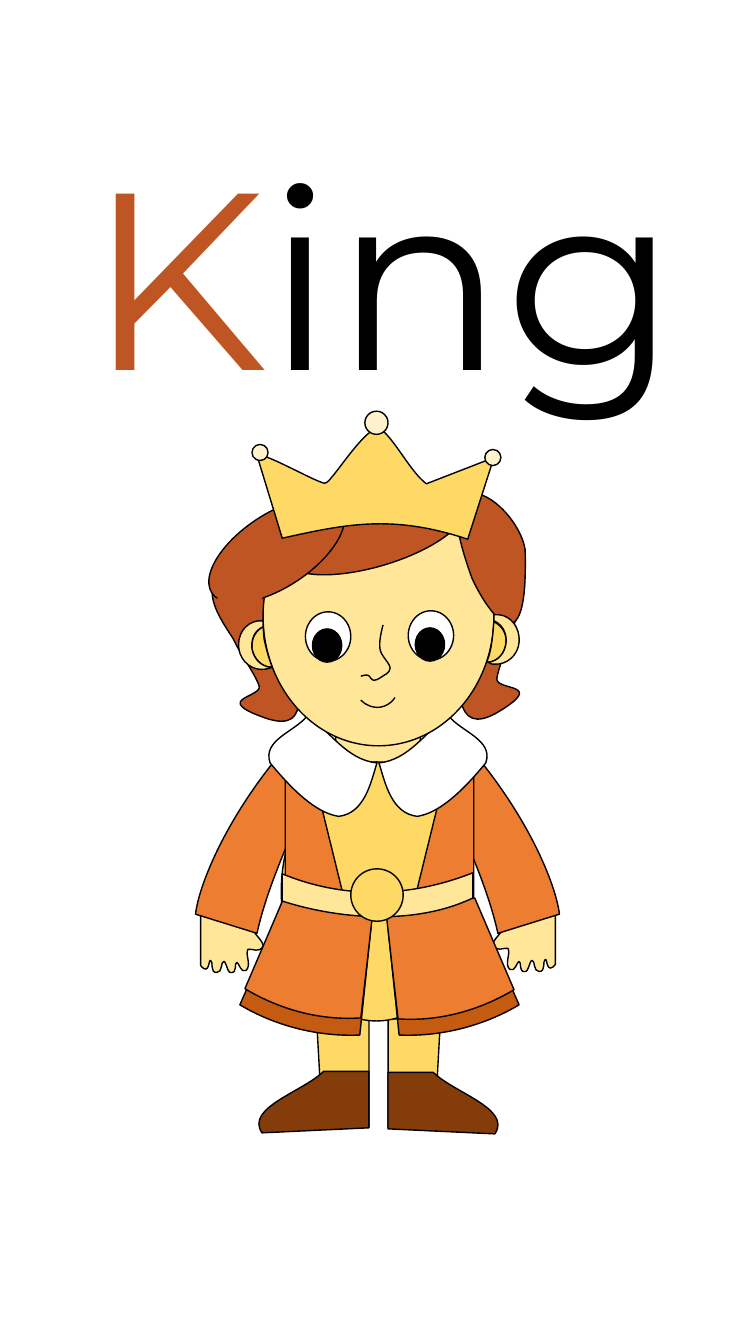
import pptx
import pptx.dml.color
import pptx.enum.shapes
import pptx.oxml
import pptx.oxml.ns
import pptx.util

ELLIPSE = pptx.enum.shapes.MSO_SHAPE.OVAL
ROUNDED = pptx.enum.shapes.MSO_SHAPE.ROUNDED_RECTANGLE
ARC = pptx.enum.shapes.MSO_SHAPE.ARC
HAIR, SKIN, GOLD, COAT, PEARL = "BF5522", "FFE699", "FFD966", "ED7D31", "FFF2CC"
HEM, SHOE, WHITE, BLACK = "C55A11", "843C0B", "FFFFFF", "000000"


def color(value):
    """Return the colour for a hex string."""
    return pptx.dml.color.RGBColor.from_string(value)


def unit(value):
    """Return the length of hundredths of an inch."""
    return pptx.util.Cm(value * 2.54 / 100)


def paint(shape, fill, outlined=True):
    """Set fill and outline of a shape and remove its shadow."""
    shape.shadow.inherit = False
    if fill:
        shape.fill.solid()
        shape.fill.fore_color.rgb = color(fill)
    else:
        shape.fill.background()
    if outlined:
        shape.line.color.rgb = color(BLACK)
        shape.line.width = pptx.util.Pt(1)
    else:
        shape.line.fill.background()


def draw_preset(slide, box, kind, place, fill, rotation=0, outlined=True):
    """Add a preset shape at a place inside the box."""
    left, top, width, height = place
    shape = slide.shapes.add_shape(kind, box[0] + unit(left), box[1] + unit(top),
                                   unit(width), unit(height))
    shape.rotation = rotation
    paint(shape, fill, outlined)
    return shape


def read_outline(text):
    """Turn comma-separated segments into lists of points; three points make a curve."""
    segments = []
    for part in text.split(","):
        numbers = [int(number) for number in part.split()]
        segments.append(list(zip(numbers[::2], numbers[1::2])))
    return segments


def draw_outline(slide, box, segments, fill, closed=True):
    """Add a freeform of lines and Bezier curves inside the box."""
    start = segments[0][0]
    builder = slide.shapes.build_freeform(*start, scale=float(unit(1)))
    builder.add_line_segments([point for segment in segments[1:] for point in segment], closed)
    shape = builder.convert_to_shape(*box)
    lines = iter(shape.element.findall(".//" + pptx.oxml.ns.qn("a:lnTo")))
    for segment in segments[1:]:
        steps = [next(lines) for point in segment]
        if len(steps) == 3:
            curve = pptx.oxml.parse_xml(
                "<a:cubicBezTo %s/>" % pptx.oxml.ns.nsdecls("a"))
            steps[0].addprevious(curve)
            for step in steps:
                curve.append(step[0])
                step.getparent().remove(step)
    paint(shape, fill)


def draw_pair(slide, box, text, fill, span=750, drop=0):
    """Add an outline and its mirror image; span is the sum of mirrored x values."""
    left_side = read_outline(text)
    right_side = [[(span - x, y + drop) for x, y in segment] for segment in left_side]
    for segments in (left_side, right_side):
        draw_outline(slide, box, segments, fill)


def draw_word(slide, box):
    """Write the word with its first letter coloured."""
    frame = slide.shapes.add_textbox(*box).text_frame
    frame.word_wrap = True
    paragraph = frame.paragraphs[0]
    for letters, letter_color in (("K", HAIR), ("ing", BLACK)):
        run = paragraph.add_run()
        run.text = letters
        run.font.name = "Montserrat"
        run.font.size = pptx.util.Pt(180)
        run.font.color.rgb = color(letter_color)


def draw_body(slide, box):
    """Draw the king from neck to shoes."""
    hand = ("199 506, 252 523, 251 526 262 534 261 539, 257 546 251 541 246 542, "
            "243 547 250 558 244 563, 239 566 237 555 235 555, 232 555 236 566 229 565, "
            "226 566 224 553 222 554, 219 554 221 565 215 565, 208 565 212 554 209 553, "
            "207 551 208 569 199 558")
    sleeve = "290 334, 318 358, 297 414 267 471 255 526, 194 507, 197 479 225 407 290 334"
    belt = ("280 467, 338 491 403 492 469 466, 469 477 469 480 469 491, "
            "406 521 326 509 280 494, 280 484 280 478 280 467")
    collar = ("374 357, 344 354 328 326 305 310, 293 326 260 334 268 357, "
              "296 391 317 407 336 410, 362 407 368 376 374 357")
    draw_preset(slide, box, ROUNDED, (333, 302, 84, 80), SKIN)
    draw_pair(slide, box, hand, SKIN, drop=-1)
    draw_pair(slide, box, sleeve, COAT, span=749)
    draw_pair(slide, box, "314 610, 366 610, 366 718, 320 718", GOLD, 751, 1)
    draw_pair(slide, box, "321 663, 366 663, 366 719, 260 724, 243 699 301 683 321 663",
              SHOE, 751, 1)
    draw_preset(slide, box, ELLIPSE, (279, 356, 189, 257), GOLD)
    draw_pair(slide, box, "283 370, 315 384, 343 498, 322 501 303 495 283 494, "
              "283 453 283 411 283 370", COAT, 753)
    draw_pair(slide, box, "278 506, 368 521, 357 627, 310 629 268 615 238 597", HEM, 753)
    draw_pair(slide, box, "282 490, 370 504, 358 610, 313 613 273 599 243 581",
              COAT, 753, 1)
    draw_outline(slide, box, read_outline(belt), SKIN)
    draw_preset(slide, box, ELLIPSE, (348, 462, 52, 52), GOLD)
    draw_pair(slide, box, collar, WHITE)


def draw_head(slide, box):
    """Draw the king's hair, face, crown and ears."""
    back_hair = (
        "508 226, 510 214 545 155 487 152, 429 149 452 189 454 231, "
        "456 274 447 335 495 306, 543 277 491 286 493 273, 495 260 505 238 508 226",
        "233 237, 228 225 182 175 238 160, 295 145 280 188 286 230, "
        "293 272 315 331 262 312, 209 293 262 292 257 280, 252 267 238 248 233 237")
    nose = ("380 220, 378 228 376 236 377 244, 378 251 387 258 387 263, "
            "387 268 380 270 378 272, 375 274 373 275 371 275, "
            "368 275 367 270 365 270, 363 269 358 271 358 271")
    side_lock = "468 173, 462 156 442 100 461 91, 481 81 516 116 521 145, 525 282 475 190 468 173"
    crown = ("255 52, 258 46 323 84 323 79, 328 80 359 27 376 24, "
             "392 36 407 68 423 80, 490 54, 464 135, 389 110 343 120 280 134")
    ears = (
        ("490 217, 492 218, 499 222 503 230 502 238, 501 248 494 256 485 257, 483 257, "
         "484 254, 487 246 488 237 489 229", GOLD),
        ("495 210, 507 211 516 223 515 237, 514 250 503 260 490 259, "
         "489 259 487 259 486 258, 484 257, 485 257, 494 256 501 248 502 238, "
         "503 229 499 221 492 217, 490 216, 490 210, 492 210 493 210 495 210", SKIN),
        ("261 222, 259 223, 252 228 249 236 250 244, 252 254 260 262 269 262, 270 262, "
         "269 259, 266 251 264 243 262 234", GOLD),
        ("256 216, 243 218 235 230 237 244, 239 257 251 266 263 264, "
         "265 264 266 264 268 263, 270 262, 268 262, 259 261 252 254 250 244, "
         "249 235 252 227 259 223, 261 222, 261 216, 259 216 257 216 256 216", SKIN))
    for lock in back_hair:
        draw_outline(slide, box, read_outline(lock), HAIR)
    draw_preset(slide, box, ELLIPSE, (261, 83, 229, 257), SKIN)
    draw_outline(slide, box, read_outline(nose), None, closed=False)
    draw_preset(slide, box, ELLIPSE, (339, 37, 65, 185), HAIR, 73.5)
    draw_preset(slide, box, ELLIPSE, (238, 69, 73, 154), HAIR, 56.6)
    draw_outline(slide, box, read_outline(side_lock), HAIR)
    for shift, rise in ((0, 0), (102, 1)):
        draw_preset(slide, box, ELLIPSE, (303 + shift, 207 - rise, 45, 49), WHITE)
        draw_preset(slide, box, ELLIPSE, (310 + shift, 224 - rise, 29, 33), BLACK)
    draw_outline(slide, box, read_outline(crown), GOLD)
    for left, top, size in ((250, 41, 16), (362, 8, 23), (481, 46, 16)):
        draw_preset(slide, box, ELLIPSE, (left, top, size, size), PEARL)
    draw_preset(slide, box, ELLIPSE, (229, 169, 19, 46), HAIR, 85, outlined=False)
    smile = draw_preset(slide, box, ARC, (349, 247, 47, 55), None, 165.7)
    smile.adjustments[0] = 142
    smile.adjustments[1] = 192.29
    for ear, fill in ears:
        draw_outline(slide, box, read_outline(ear), fill)


def main():
    """Build the flashcard and save it."""
    presentation = pptx.Presentation()
    presentation.slide_width = pptx.util.Cm(19.05)
    presentation.slide_height = pptx.util.Cm(33.87)
    slide = presentation.slides.add_slide(presentation.slide_layouts[6])
    centimetres = pptx.util.Cm
    draw_word(slide, (centimetres(1.96), centimetres(2.87),
                      centimetres(22.38), centimetres(7.95)))
    king_box = (centimetres(0), centimetres(10.16))
    draw_body(slide, king_box)
    draw_head(slide, king_box)
    presentation.save("out.pptx")


if __name__ == "__main__":
    main()
